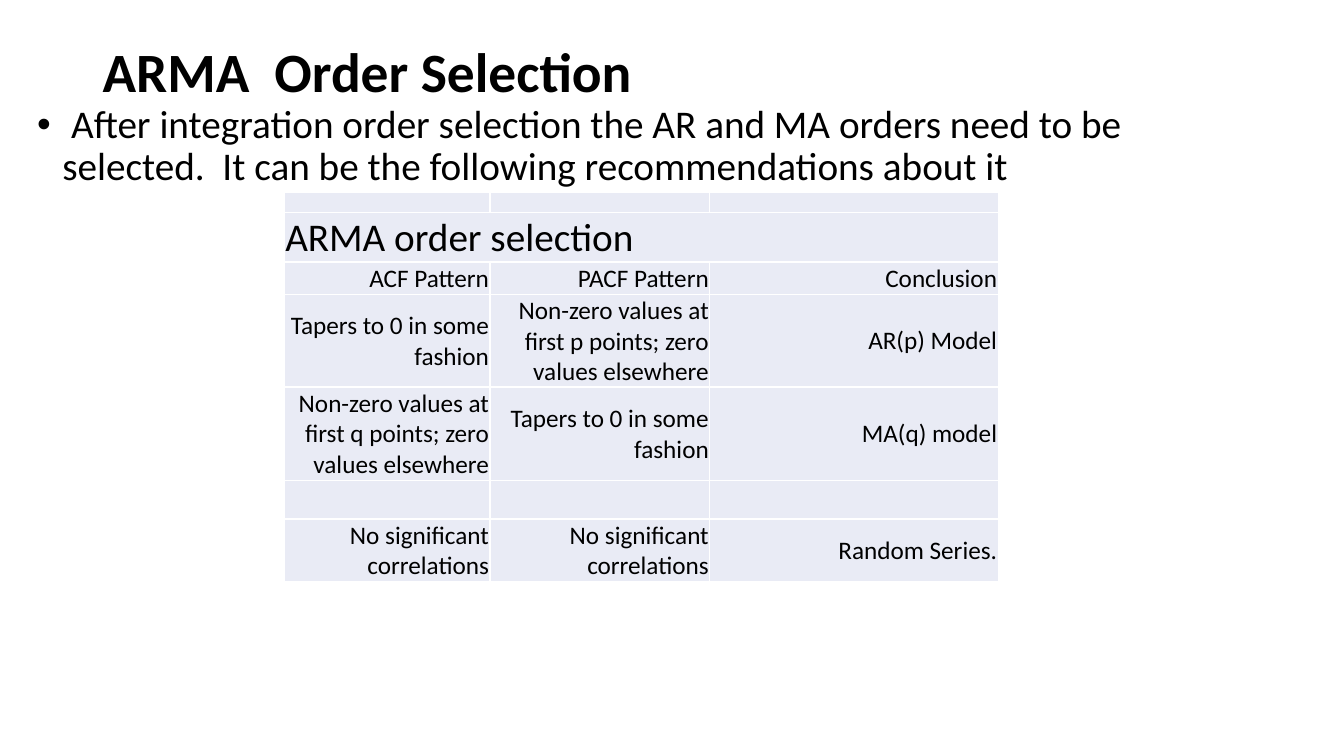
import pptx
import pptx.enum.text
import pptx.oxml.ns
import pptx.util
from lxml import etree

Inches, Pt = pptx.util.Inches, pptx.util.Pt
ALIGN = pptx.enum.text.PP_ALIGN
ANCHOR = pptx.enum.text.MSO_ANCHOR
qn = pptx.oxml.ns.qn

# Content
TITLE = "ARMA  Order Selection"
ADVICE = (" After integration order selection the AR and MA orders need to be selected.  "
          "It can be the following recommendations about it")
CAPTION = "ARMA order selection"
CAPTION_ROW = 1
ROWS = [
    ("", "", ""),
    (CAPTION, "", ""),
    ("ACF Pattern", "PACF Pattern", "Conclusion"),
    ("Tapers to 0 in some fashion",
     "Non-zero values at first p points; zero values elsewhere", "AR(p) Model"),
    ("Non-zero values at first q points; zero values elsewhere",
     "Tapers to 0 in some fashion", "MA(q) model"),
    ("", "", ""),
    ("No significant correlations", "No significant correlations", "Random Series."),
]
COLUMN_WIDTHS = [2.04, 2.18, 2.86]
ROW_HEIGHTS = [0.2, 0.49, 0.32, 0.92, 0.93, 0.38, 0.62]
COLORS = {"text": "000000", "cell": "E9EBF5", "border": "FFFFFF"}
FONT = "Calibri"


def color(name):
    return pptx.dml.color.RGBColor.from_string(COLORS[name])


def add_span(para, text, size, bold=False):
    span = para.add_run()
    span.text = text
    span.font.name = FONT
    span.font.size = Pt(size)
    span.font.bold = bold
    span.font.color.rgb = color("text")


def add_text(page, left, top, width, height, anchor):
    box = page.shapes.add_textbox(Inches(left), Inches(top), Inches(width), Inches(height))
    box.text_frame.word_wrap = True
    box.text_frame.vertical_anchor = anchor
    para = box.text_frame.paragraphs[0]
    para.line_spacing = 0.9
    return para


def style_cell(cell):
    cell.margin_left = cell.margin_right = cell.margin_top = Inches(0.01)
    cell.margin_bottom = 0
    cell.vertical_anchor = ANCHOR.MIDDLE
    properties = cell._tc.get_or_add_tcPr()
    for side in ("a:lnL", "a:lnR", "a:lnT", "a:lnB"):
        line = etree.SubElement(properties, qn(side), w=str(Pt(1)))
        paint = etree.SubElement(line, qn("a:solidFill"))
        etree.SubElement(paint, qn("a:srgbClr"), val=COLORS["border"])
    cell.fill.solid()
    cell.fill.fore_color.rgb = color("cell")


def fill_cell(cell, text):
    para = cell.text_frame.paragraphs[0]
    if not text:
        # Small end mark keeps empty rows low
        etree.SubElement(para._p, qn("a:endParaRPr"), sz="1000")
    elif text == CAPTION:
        add_span(para, text, 28)
    else:
        para.alignment = ALIGN.RIGHT
        add_span(para, text, 18)


def main():
    deck = pptx.Presentation()
    deck.slide_width, deck.slide_height = Inches(13.33), Inches(7.5)
    page = deck.slides.add_slide(deck.slide_layouts[6])

    # Title
    add_span(add_text(page, 0.92, 0.4, 11.5, 0.67, ANCHOR.MIDDLE), TITLE, 39.6, True)

    # Bulleted advice
    para = add_text(page, 0.27, 0.99, 11.5, 6.4, ANCHOR.TOP)
    properties = para._p.get_or_add_pPr()
    properties.set("marL", str(Inches(0.25)))
    properties.set("indent", str(-Inches(0.25)))
    etree.SubElement(properties, qn("a:buFont"), typeface="Arial")
    etree.SubElement(properties, qn("a:buChar"), char="•")
    add_span(para, ADVICE, 28)

    # Order selection table
    frame = page.shapes.add_table(
        len(ROWS), len(COLUMN_WIDTHS), Inches(2.82), Inches(1.91),
        Inches(sum(COLUMN_WIDTHS)), Inches(sum(ROW_HEIGHTS)))
    table = frame.table
    table.first_row = table.horz_banding = False
    for column, width in zip(table.columns, COLUMN_WIDTHS):
        column.width = Inches(width)
    for row, height, texts in zip(table.rows, ROW_HEIGHTS, ROWS):
        row.height = Inches(height)
        for cell, text in zip(row.cells, texts):
            style_cell(cell)
            fill_cell(cell, text)
    table.cell(CAPTION_ROW, 0).merge(table.cell(CAPTION_ROW, len(COLUMN_WIDTHS) - 1))

    deck.save("out.pptx")


if __name__ == "__main__":
    main()
